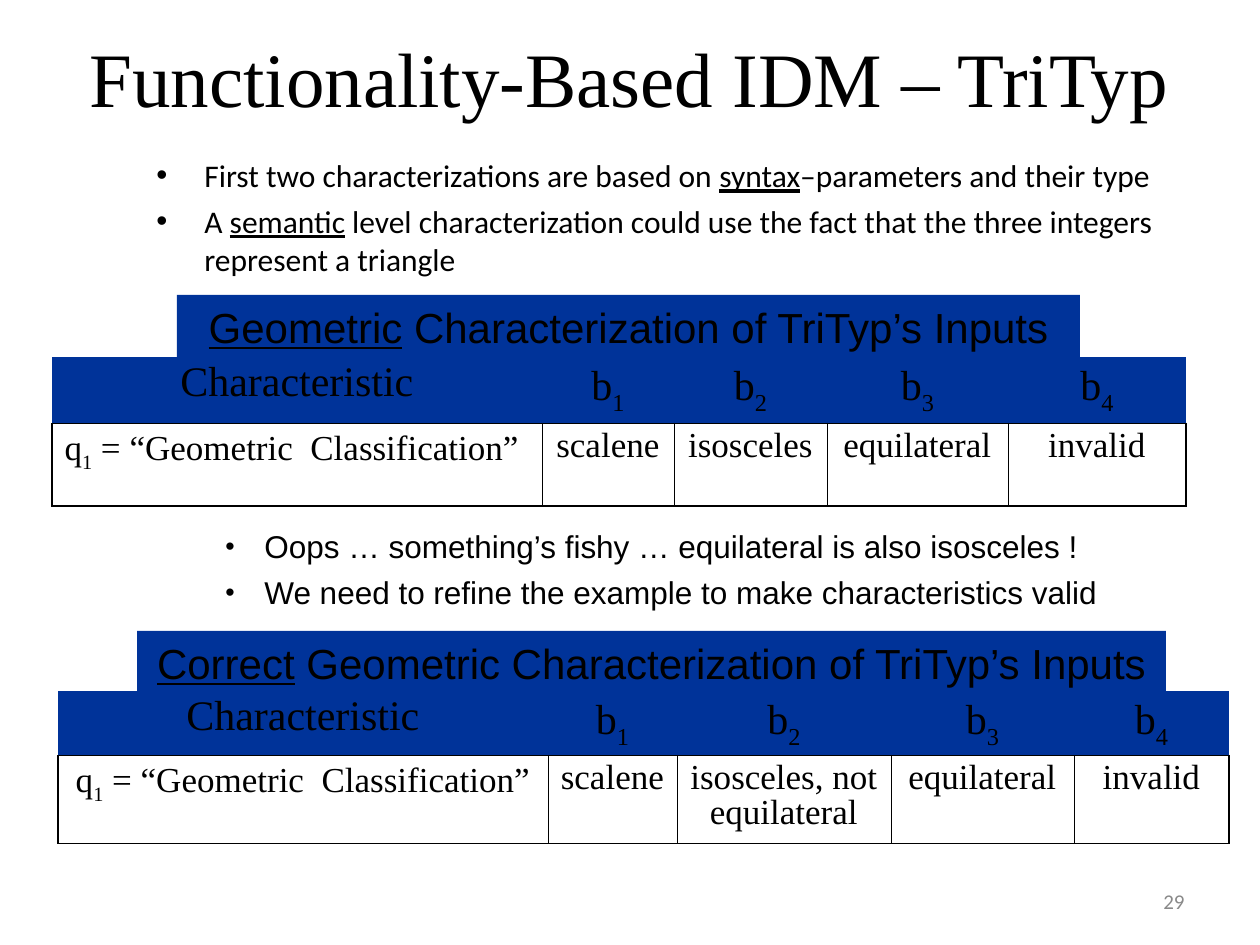
import dataclasses
import typing
import lxml.etree
import pptx
import pptx.dml.color
import pptx.enum.shapes
import pptx.enum.text
import pptx.oxml.ns
import pptx.util

SCALE = 914400 / 126
INK = {"black": "000000", "blue": "003399", "white": "FFFFFF", "gray": "898989"}
ALIGN = pptx.enum.text.PP_ALIGN
ANCHOR = pptx.enum.text.MSO_ANCHOR
HEAD = ("Characteristic", "b|1|", "b|2|", "b|3|", "b|4|")
RULE = "q|1| = “Geometric  Classification”"
THIN, THICK = 0.45, 1.08


@dataclasses.dataclass
class Box:
    left: int
    top: int
    width: int
    height: int

    def emu(self) -> list[int]:
        return [px(n) for n in (self.left, self.top, self.width, self.height)]


@dataclasses.dataclass
class Style:
    face: str
    size: int
    align: typing.Any = ALIGN.CENTER
    ink: str = "black"
    mark: str = "line"
    lead: float | None = None


@dataclasses.dataclass
class Points:
    box: Box
    lines: tuple
    style: Style
    indent: int
    gap: float
    scale: int


@dataclasses.dataclass
class Banner:
    box: Box
    text: str


@dataclasses.dataclass
class Grid:
    left: int
    top: int
    cols: tuple
    rows: tuple
    cells: tuple
    align: typing.Any


TITLE = Style("Times New Roman", 44)
LABEL = Style("Arial", 24)
NUMBER = Style("Calibri", 12, ALIGN.RIGHT, "gray")
BASIS = Points(Box(144, 150, 1096, 150), (
    "First two characterizations are based on |syntax|–parameters and their type",
    "A |semantic| level characterization could use the fact that the three integers represent a triangle",
), Style("Calibri", 18, ALIGN.LEFT), 48, 4.5, 100)
ISSUE = Points(Box(213, 525, 1027, 107), (
    "Oops … something’s fishy … equilateral is also isosceles !",
    "We need to refine the example to make characteristics valid",
), Style("Arial", 18, ALIGN.LEFT, lead=0.9), 39, 6.8, 85)
FIRST = Banner(Box(177, 295, 903, 63), "|Geometric| Characterization of TriTyp’s Inputs")
FIXED = Banner(Box(137, 631, 1029, 63), "|Correct| Geometric Characterization of TriTyp’s Inputs")
GRIDS = (
    Grid(52, 357, (490, 132, 153, 181, 178), (66, 83),
         (RULE, "scalene", "isosceles", "equilateral", "invalid"), ALIGN.LEFT),
    Grid(58, 691, (490, 129, 214, 183, 155), (64, 88),
         (RULE, "scalene", "isosceles, not equilateral", "equilateral", "invalid"), ALIGN.CENTER),
)


def px(n: int) -> int:
    return round(n * SCALE)


def color(name: str) -> pptx.dml.color.RGBColor:
    return pptx.dml.color.RGBColor.from_string(INK[name])


def add(node, tag: str, **attrs: str):
    return lxml.etree.SubElement(node, pptx.oxml.ns.qn(tag), attrs)


def write(para, text: str, style: Style) -> None:
    para.alignment = style.align
    if style.lead:
        para.line_spacing = style.lead
    para.font.name = style.face
    para.font.size = pptx.util.Pt(style.size)
    para.font.color.rgb = color(style.ink)
    for i, part in enumerate(text.split("|")):
        if not part:
            continue
        run = para.add_run()
        run.text = part
        if i % 2 and style.mark == "line":
            run.font.underline = True
        elif i % 2:
            run.font._element.set("baseline", "-25000")


def draw_text(slide, box: Box):
    frame = slide.shapes.add_textbox(*box.emu()).text_frame
    frame.word_wrap = True
    return frame


def draw_points(slide, item: Points) -> None:
    frame = draw_text(slide, item.box)
    for i, line in enumerate(item.lines):
        para = frame.add_paragraph() if i else frame.paragraphs[0]
        if item.style.lead:
            para.line_spacing = item.style.lead
        if i:
            para.space_before = pptx.util.Pt(item.gap)
        props = para._p.get_or_add_pPr()
        props.set("marL", str(px(item.indent)))
        props.set("indent", str(-px(item.indent)))
        add(add(props, "a:buClr"), "a:srgbClr", val=INK["black"])
        add(props, "a:buSzPct", val=str(item.scale * 1000))
        add(props, "a:buFont", typeface="Arial")
        add(props, "a:buChar", char="•")
        write(para, line, item.style)


def draw_banner(slide, item: Banner) -> None:
    shape = slide.shapes.add_shape(pptx.enum.shapes.MSO_SHAPE.RECTANGLE, *item.box.emu())
    shape.shadow.inherit = False
    shape.fill.solid()
    shape.fill.fore_color.rgb = color("blue")
    shape.line.fill.background()
    shape.text_frame.word_wrap = True
    shape.text_frame.vertical_anchor = ANCHOR.TOP
    write(shape.text_frame.paragraphs[0], item.text, LABEL)


def draw_edges(cell, sides: dict[str, float]) -> None:
    props = cell._tc.get_or_add_tcPr()
    for side in "LRTB":
        if side in sides:
            line = add(props, f"a:ln{side}", w=str(pptx.util.Pt(sides[side])))
            add(add(line, "a:solidFill"), "a:srgbClr", val=INK["black"])
        else:
            add(add(props, f"a:ln{side}", w="0"), "a:noFill")


def draw_grid(slide, item: Grid) -> None:
    box = Box(item.left, item.top, sum(item.cols), sum(item.rows))
    table = slide.shapes.add_table(2, len(item.cols), *box.emu()).table
    table.first_row = table.horz_banding = False
    for col, width in zip(table.columns, item.cols):
        col.width = px(width)
    for row, height in zip(table.rows, item.rows):
        row.height = px(height)
    last = len(item.cols) - 1
    for r, texts in enumerate((HEAD, item.cells)):
        for c, text in enumerate(texts):
            cell = table.cell(r, c)
            sides = {"B": THIN}
            if r:
                sides = {"L": THIN if c else THICK, "R": THICK if c == last else THIN,
                         "T": THIN, "B": THICK}
            draw_edges(cell, sides)
            cell.fill.solid()
            cell.fill.fore_color.rgb = color("white" if r else "blue")
            align = item.align if r and not c else ALIGN.CENTER
            style = Style("Times New Roman", 20 if r else 24, align, mark="sub", lead=0.9)
            write(cell.text_frame.paragraphs[0], text, style)


def main() -> None:
    deck = pptx.Presentation()
    deck.slide_width, deck.slide_height = px(1260), px(945)
    slide = deck.slides.add_slide(deck.slide_layouts[5])
    title = slide.shapes.title
    title.left, title.top, title.width, title.height = Box(19, 14, 1221, 126).emu()
    title.text_frame.vertical_anchor = ANCHOR.MIDDLE
    write(title.text_frame.paragraphs[0], "Functionality-Based IDM – TriTyp", TITLE)
    number = draw_text(slide, Box(903, 876, 294, 50))
    number.vertical_anchor = ANCHOR.MIDDLE
    write(number.paragraphs[0], "29", NUMBER)
    draw_points(slide, BASIS)
    draw_banner(slide, FIRST)
    for grid in GRIDS:
        draw_grid(slide, grid)
    draw_points(slide, ISSUE)
    draw_banner(slide, FIXED)
    deck.save("out.pptx")


if __name__ == "__main__":
    main()
